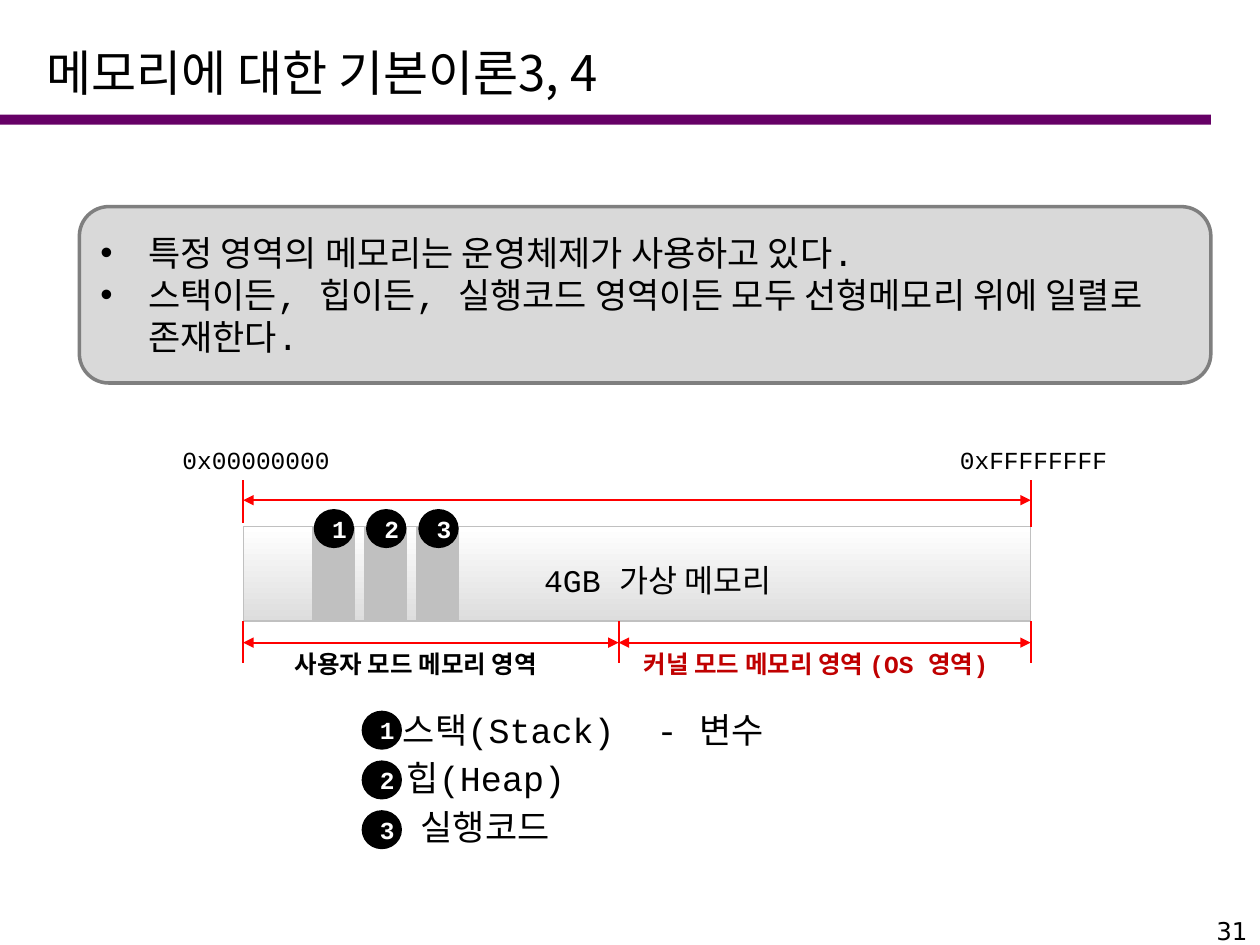
from lxml import etree
from pptx import Presentation
from pptx.dml.color import RGBColor
from pptx.enum.shapes import MSO_CONNECTOR, MSO_SHAPE
from pptx.enum.text import MSO_ANCHOR, PP_ALIGN
from pptx.oxml.ns import qn
from pptx.util import Inches, Pt

RECTANGLE = MSO_SHAPE.RECTANGLE
ROUNDED = MSO_SHAPE.ROUNDED_RECTANGLE
OVAL = MSO_SHAPE.OVAL
STRAIGHT = MSO_CONNECTOR.STRAIGHT
MIDDLE = MSO_ANCHOR.MIDDLE
TOP = MSO_ANCHOR.TOP
LEFT, CENTER, RIGHT = PP_ALIGN.LEFT, PP_ALIGN.CENTER, PP_ALIGN.RIGHT

COLORS = {
    "black": "000000", "white": "FFFFFF", "purple": "660066",
    "panel": "D9D9D9", "panel_edge": "7F7F7F", "silver": "C0C0C0",
    "bar_end": "DDDDDD", "red": "FF0000", "kernel": "C00000",
}
KOREAN_FONT = "Noto Sans CJK KR"
MONO_FONT = "Courier New"
NUMBER_FONT = "DejaVu Sans"


def color(name):
    return RGBColor.from_string(COLORS[name])


class SlideBuilder:
    """Holds the slide and its style, and adds each kind of element."""

    def __init__(self, slide):
        self.slide = slide

    def format_text(self, paragraph, size, ink="black", bold=False, font=MONO_FONT):
        for run in paragraph.runs:
            run.font.size = Pt(size)
            run.font.bold = bold
            run.font.name = font
            run.font.color.rgb = color(ink)
            east_asian = etree.SubElement(run._r.get_or_add_rPr(), qn("a:ea"))
            east_asian.set("typeface", KOREAN_FONT)

    def shape(self, kind, left, top, width, height, fill, edge=None, edge_width=0.75):
        shape = self.slide.shapes.add_shape(
            kind, Inches(left), Inches(top), Inches(width), Inches(height))
        shape.shadow.inherit = False
        shape.fill.solid()
        shape.fill.fore_color.rgb = color(fill)
        if edge:
            shape.line.color.rgb = color(edge)
            shape.line.width = Pt(edge_width)
        else:
            shape.line.fill.background()
        return shape

    def text_box(self, left, top, width, height, text, size, ink="black",
                 bold=False, font=MONO_FONT, align=LEFT, anchor=TOP):
        box = self.slide.shapes.add_textbox(
            Inches(left), Inches(top), Inches(width), Inches(height))
        frame = box.text_frame
        frame.word_wrap = True
        frame.vertical_anchor = anchor
        frame.text = text
        paragraph = frame.paragraphs[0]
        paragraph.alignment = align
        self.format_text(paragraph, size, ink, bold, font)
        return paragraph

    def label(self, left, top, width, height, text, size, ink="black", bold=False):
        paragraph = self.text_box(left, top, width, height, text, size, ink, bold)
        paragraph.space_before = Pt(size / 4)

    def bullets(self, shape, items, size):
        frame = shape.text_frame
        frame.word_wrap = True
        frame.vertical_anchor = MIDDLE
        frame.text = "\n".join(items)
        for paragraph in frame.paragraphs:
            paragraph.alignment = LEFT
            self.format_text(paragraph, size)
            properties = paragraph._p.get_or_add_pPr()
            properties.set("marL", str(Inches(0.38)))
            properties.set("indent", str(Inches(-0.38)))
            etree.SubElement(properties, qn("a:buFont")).set("typeface", "Arial")
            etree.SubElement(properties, qn("a:buChar")).set("char", "•")

    def line(self, x1, y1, x2, y2, arrows=False):
        connector = self.slide.shapes.add_connector(
            STRAIGHT, Inches(x1), Inches(y1), Inches(x2), Inches(y2))
        connector.line.color.rgb = color("red")
        connector.line.width = Pt(1.25)
        if arrows:
            outline = connector.line._get_or_add_ln()
            for end in ("a:headEnd", "a:tailEnd"):
                etree.SubElement(outline, qn(end)).set("type", "triangle")
        etree.SubElement(connector._element.spPr, qn("a:effectLst"))

    def tick(self, x, top, middle, bottom):
        self.line(x, top, x, middle)
        self.line(x, middle, x, bottom)

    def badge(self, left, top, number):
        shape = self.shape(OVAL, left, top, 0.32, 0.31, "black")
        frame = shape.text_frame
        frame.word_wrap = True
        frame.vertical_anchor = MIDDLE
        frame.text = str(number)
        frame.paragraphs[0].alignment = CENTER
        self.format_text(frame.paragraphs[0], 14, "white", bold=True)


def main():
    presentation = Presentation()
    presentation.slide_width = Inches(10)
    presentation.slide_height = Inches(7.5)
    slide = presentation.slides.add_slide(presentation.slide_layouts[6])
    builder = SlideBuilder(slide)

    # Title and rule
    builder.shape(RECTANGLE, 0, 0.91, 9.61, 0.08, "purple")
    builder.text_box(0.27, 0.28, 8.98, 0.58, "메모리에 대한 기본이론3, 4", 28,
                     font=KOREAN_FONT, anchor=MIDDLE)

    # Key points
    panel = builder.shape(ROUNDED, 0.63, 1.64, 8.98, 1.4, "panel", "panel_edge", 2)
    builder.bullets(panel, [
        "특정 영역의 메모리는 운영체제가 사용하고 있다.",
        "스택이든, 힙이든, 실행코드 영역이든 모두 선형메모리 위에 일렬로 존재한다.",
    ], 20)

    # Virtual memory bar
    start, split, end = 1.93, 4.91, 8.18
    bar_top, bar_height = 4.18, 0.75
    bar = builder.shape(RECTANGLE, start, bar_top, end - start, bar_height,
                        "white", "silver")
    bar.fill.gradient()
    bar.fill.gradient_angle = 270
    for stop, name in zip(bar.fill.gradient_stops, ("white", "bar_end")):
        stop.color.rgb = color(name)

    # Dimension lines for the whole range and its two areas
    builder.tick(start, 3.81, 3.98, 4.15)
    builder.tick(end, 3.81, 3.98, bar_top)
    builder.line(start, 3.97, end, 3.97, arrows=True)
    for x in (start, split, end):
        builder.tick(x, 4.93, 5.1, 5.26)
    builder.line(start, 5.1, split, 5.1, arrows=True)
    builder.line(split, 5.1, end, 5.1, arrows=True)

    # Addresses and area names
    builder.label(1.35, 3.48, 1.5, 0.34, "0x00000000", 14)
    builder.label(7.52, 3.48, 1.5, 0.34, "0xFFFFFFFF", 14)
    builder.label(2.24, 5.1, 2.45, 0.34, "사용자 모드 메모리 영역", 14, bold=True)
    builder.label(5.01, 5.1, 3.45, 0.34, "커널 모드 메모리 영역 (OS 영역)", 14,
                  "kernel", bold=True)
    builder.label(4.22, 4.4, 2.3, 0.4, "4GB 가상 메모리", 18)

    # Numbered segments in the bar, and their legend
    legend = [
        ("스택(Stack)  - 변수", 3.1, 3.4),
        ("힙(Heap)", 3.13, 1.7),
        ("실행코드", 3.24, 1.5),
    ]
    for index, (text, left, width) in enumerate(legend):
        segment_left = 2.48 + index * 0.415
        builder.shape(RECTANGLE, segment_left, bar_top, 0.33, bar_height,
                      "silver", "silver")
        builder.badge(segment_left + 0.01, 4.04, index + 1)
        builder.badge(2.87, 5.64 + index * 0.395, index + 1)
        builder.label(left, 5.57 + index * 0.385, width, 0.44, text, 20)

    # Page number
    builder.text_box(7.67, 7.22, 2.33, 0.21, "31", 14, font=NUMBER_FONT, align=RIGHT)

    presentation.save("out.pptx")


if __name__ == "__main__":
    main()
